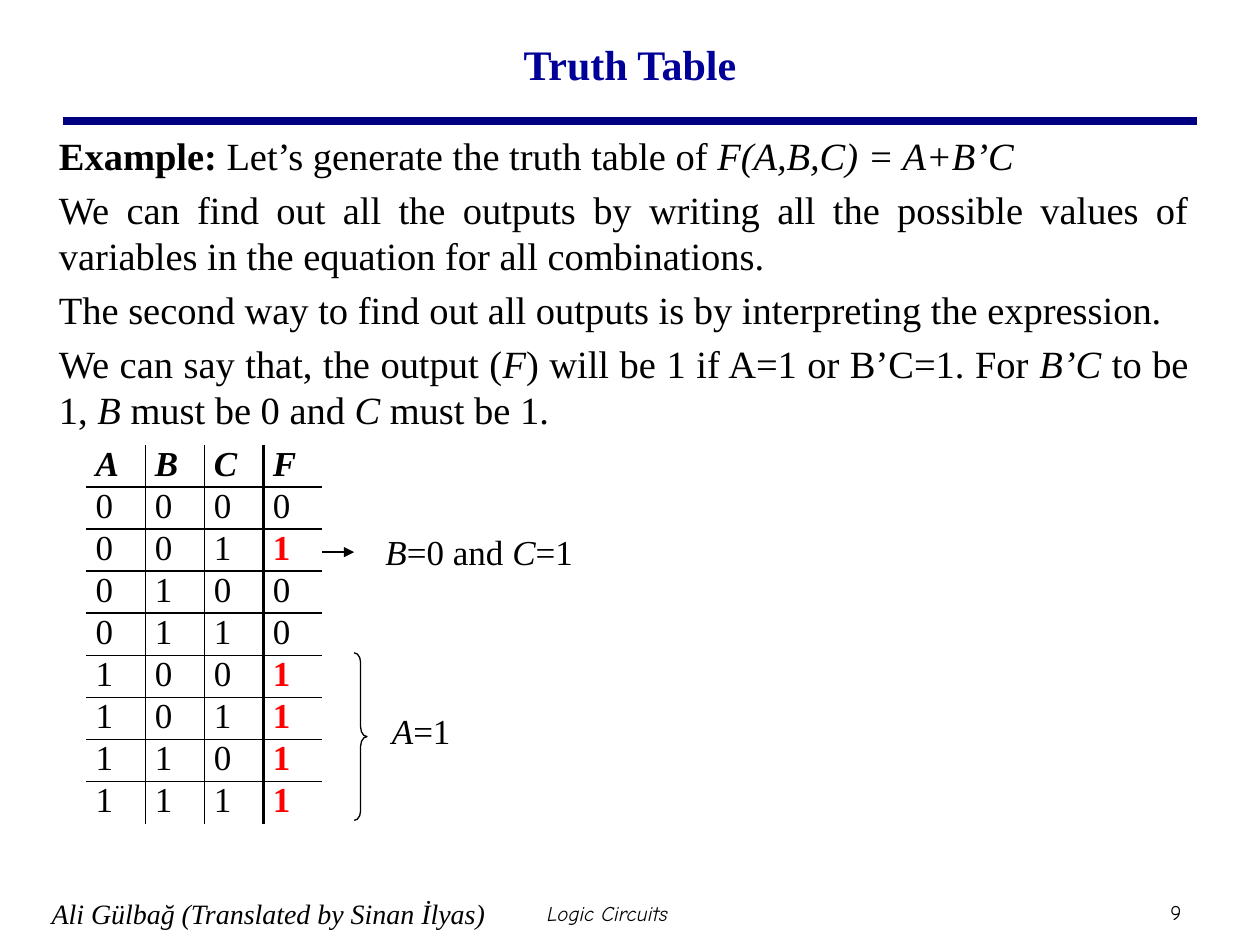
from dataclasses import dataclass
from itertools import product

from lxml import etree
from pptx import Presentation
from pptx import util as u
from pptx.dml.color import RGBColor
from pptx.enum import shapes, text
from pptx.oxml.ns import qn

Cm, Pt = u.Cm, u.Pt


@dataclass(frozen=True)
class Theme:
    ink: str = "000000"
    title: str = "000099"
    rule: str = "000080"
    one: str = "FF0000"
    serif: str = "Times New Roman"
    hand: str = "Comic Neue"
    title_size: int = 24
    body_size: int = 22
    table_size: int = 20
    author_size: int = 16
    footer_size: int = 12


theme = Theme()

# Content: each run is (words, style), with b for bold and i for italic
TITLE = [("Truth Table", "b")]
LEFT, JUSTIFY, CENTER = (text.PP_ALIGN.LEFT, text.PP_ALIGN.JUSTIFY,
                         text.PP_ALIGN.CENTER)
EXPLANATION = [
    (LEFT, [("Example: ", "b"), ("Let’s generate the truth table of ", ""),
            ("F(A,B,C) = A+B’C", "i")]),
    (JUSTIFY, [("We can find out all the outputs by writing all the possible "
                "values of variables in the equation for all combinations.", "")]),
    (JUSTIFY, [("The second way to find out all outputs is by interpreting "
                "the expression. ", "")]),
    (JUSTIFY, [("We can say that, the output (", ""), ("F", "i"),
               (") will be 1 if A=1 or B’C=1. For ", ""), ("B’C ", "i"),
               ("to be 1, ", ""), ("B ", "i"), ("must be 0 and ", ""),
               ("C ", "i"), ("must be 1.", "")]),
]
VARIABLES = ["A", "B", "C", "F"]
TRUTH = [(a, b, c, int(a or (not b and c))) for a, b, c in product((0, 1), repeat=3)]
ROW_NOTE = [("B", "i"), ("=0 and ", ""), ("C", "i"), ("=1", "")]
BRACE_NOTE = [("A", "i"), ("=1", "")]
AUTHOR = [("Ali Gülbağ (Translated by Sinan İlyas)", "i")]
COURSE = [("Logic Circuits", "i")]
PAGE = [("9", "")]

deck = Presentation()
deck.slide_width, deck.slide_height = Cm(25.4), Cm(19.05)
slide = deck.slides.add_slide(deck.slide_layouts[6])


def write(paragraph, runs, size, align=LEFT, color=theme.ink, face=theme.serif):
    paragraph.alignment = align
    font = paragraph.font
    font.name, font.size = face, Pt(size)
    font.color.rgb = RGBColor.from_string(color)
    for words, style in runs:
        run = paragraph.add_run()
        run.text = words
        run.font.bold, run.font.italic = "b" in style, "i" in style


def add_text(box, paragraphs, size, inset=0.25, middle=False, wrap=True,
             before=0, **look):
    frame = slide.shapes.add_textbox(*map(Cm, box)).text_frame
    frame.word_wrap = wrap
    frame.margin_left = frame.margin_right = Cm(inset)
    frame.margin_top = frame.margin_bottom = Cm(0.13)
    if middle:
        frame.vertical_anchor = text.MSO_ANCHOR.MIDDLE
    for number, (align, runs) in enumerate(paragraphs):
        paragraph = frame.add_paragraph() if number else frame.paragraphs[0]
        paragraph.space_before = Pt(before)
        write(paragraph, runs, size, align, **look)


def add_line(start, end, color, width):
    line = slide.shapes.add_connector(shapes.MSO_CONNECTOR.STRAIGHT,
                                      *map(Cm, start + end))
    line.line.color.rgb = RGBColor.from_string(color)
    line.line.width = Pt(width)
    etree.SubElement(line._element.spPr, qn("a:effectLst"))
    return line


def set_borders(cell, widths):
    """Draw the left, right, top and bottom edges; a width of 0 hides one."""
    properties = cell._tc.get_or_add_tcPr()
    for place, (side, width) in enumerate(zip("LRTB", widths)):
        edge = etree.Element(qn(f"a:ln{side}"), w=str(Pt(width)))
        if width:
            fill = etree.SubElement(edge, qn("a:solidFill"))
            etree.SubElement(fill, qn("a:srgbClr"), val=theme.ink)
        else:
            etree.SubElement(edge, qn("a:noFill"))
        properties.insert(place, edge)


# Heading and explanation
add_line((1.27, 2.44), (24.13, 2.44), theme.rule, 4.5)
add_text((1.9, 0.2, 21.6, 2.18), [(CENTER, TITLE)], theme.title_size,
         middle=True, color=theme.title)
add_text((0.94, 2.54, 23.27, 14.1), EXPLANATION, theme.body_size, before=4.4)

# Truth table
COLUMN, ROW = 1.19, 0.79
TABLE_LEFT, TABLE_TOP = 1.74, 8.97
rows = [VARIABLES] + TRUTH
columns, count = len(VARIABLES), len(rows)
table = slide.shapes.add_table(count, columns, Cm(TABLE_LEFT), Cm(TABLE_TOP),
                               Cm(COLUMN * columns), Cm(ROW * count)).table
table.first_row = table.horz_banding = False
for column in table.columns:
    column.width = Cm(COLUMN)
for r, values in enumerate(rows):
    table.rows[r].height = Cm(ROW)
    for c, value in enumerate(values):
        cell = table.cell(r, c)
        cell.fill.background()
        cell.margin_left = cell.margin_right = Cm(0.19)
        cell.margin_top = cell.margin_bottom = 0
        output_one = r > 0 and c == columns - 1 and value == 1
        style = "bi" if r == 0 else "b" if output_one else ""
        write(cell.text_frame.paragraphs[0], [(str(value), style)],
              theme.table_size, JUSTIFY, theme.one if output_one else theme.ink)
        verticals = [0, 1, 1, 1.5, 0]
        set_borders(cell, (verticals[c], verticals[c + 1],
                           int(r > 0), int(r < count - 1)))

# Notes beside the table
arrow = add_line((6.5, 11.13), (7.14, 11.13), theme.ink, 0.75)
etree.SubElement(arrow.line._get_or_add_ln(), qn("a:tailEnd"), type="triangle")
add_text((7.52, 10.57, 11.28, 1.12), [(LEFT, ROW_NOTE)], theme.table_size)

brace = slide.shapes.add_shape(shapes.MSO_SHAPE.RIGHT_BRACE,
                               Cm(7.14), Cm(13.16), Cm(0.26), Cm(3.38))
brace.adjustments[0] = 0.75
brace.shadow.inherit = False
brace.fill.background()
brace.line.color.rgb = RGBColor.from_string(theme.ink)
brace.line.width = Pt(0.75)
add_text((7.65, 14.17, 1.7, 1.12), [(LEFT, BRACE_NOTE)], theme.table_size, wrap=False)

# Footer
add_text((0.91, 17.78, 9.1, 1.27), [(LEFT, AUTHOR)], theme.author_size,
         inset=0.13, middle=True)
add_text((7.7, 17.78, 9.1, 1.27), [(CENTER, COURSE)], theme.footer_size,
         inset=0.13, middle=True, face=theme.hand)
add_text((23.11, 18.01, 1.19, 0.76), [(CENTER, PAGE)], theme.footer_size,
         inset=0.13, middle=True, face=theme.hand)

deck.save("out.pptx")
